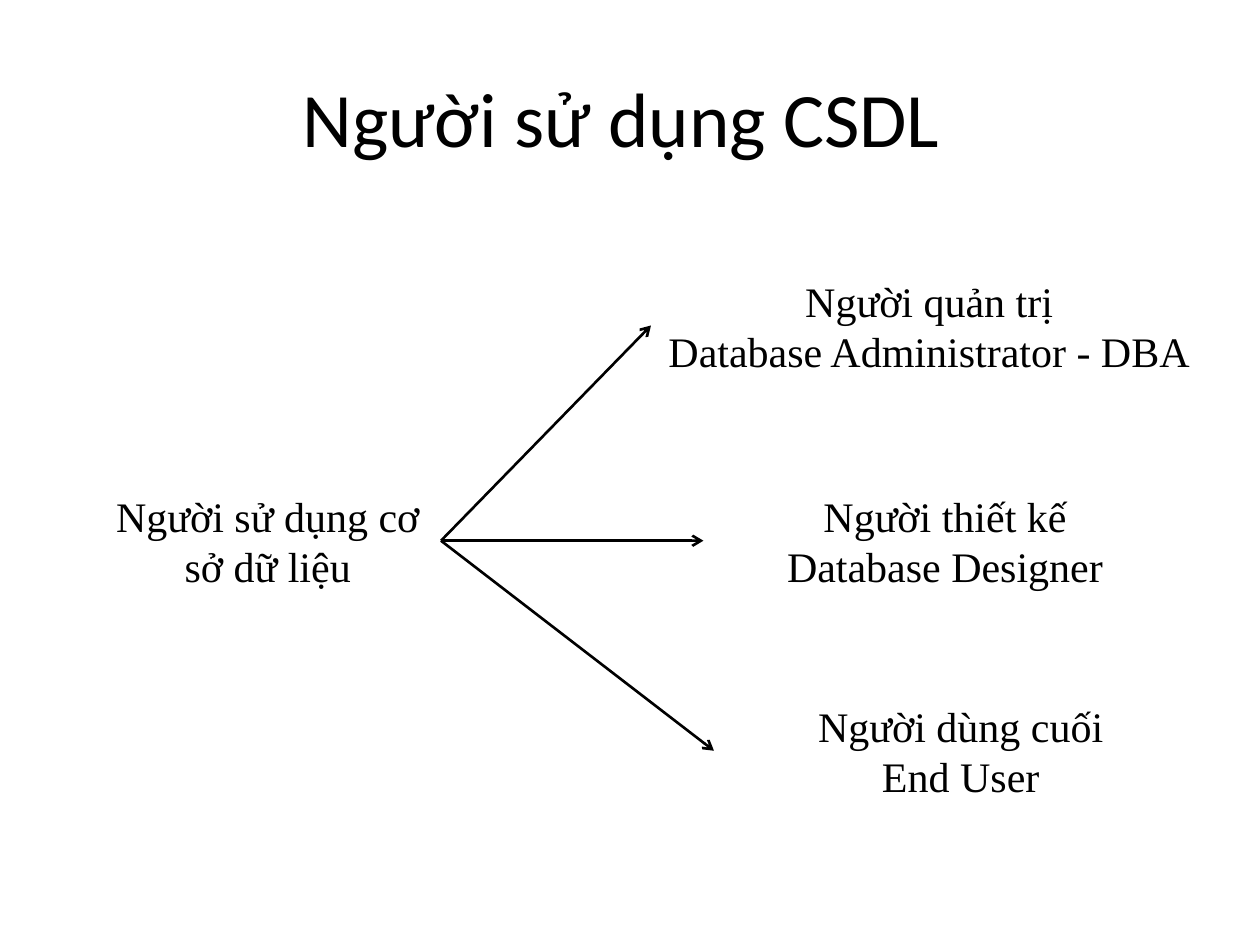
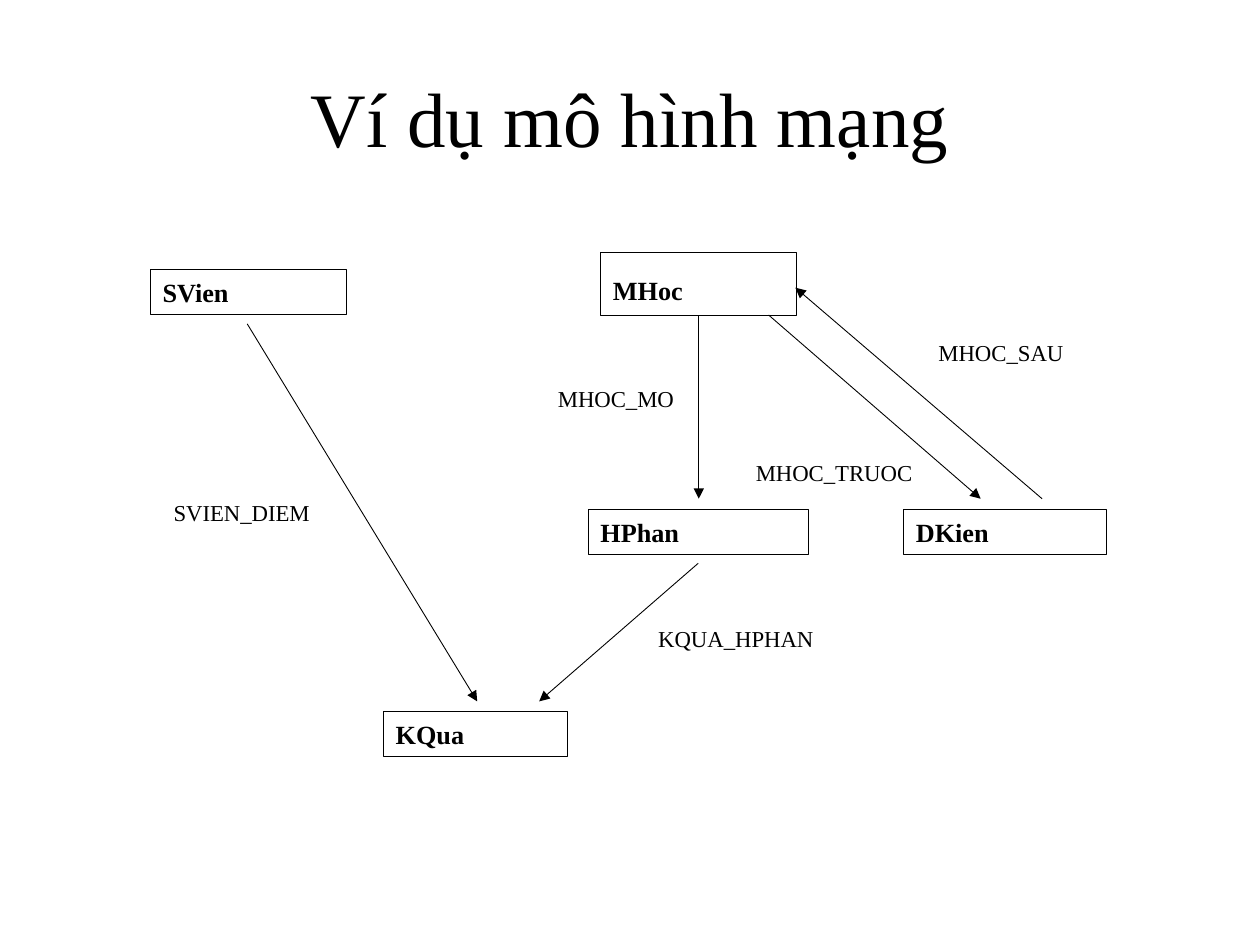
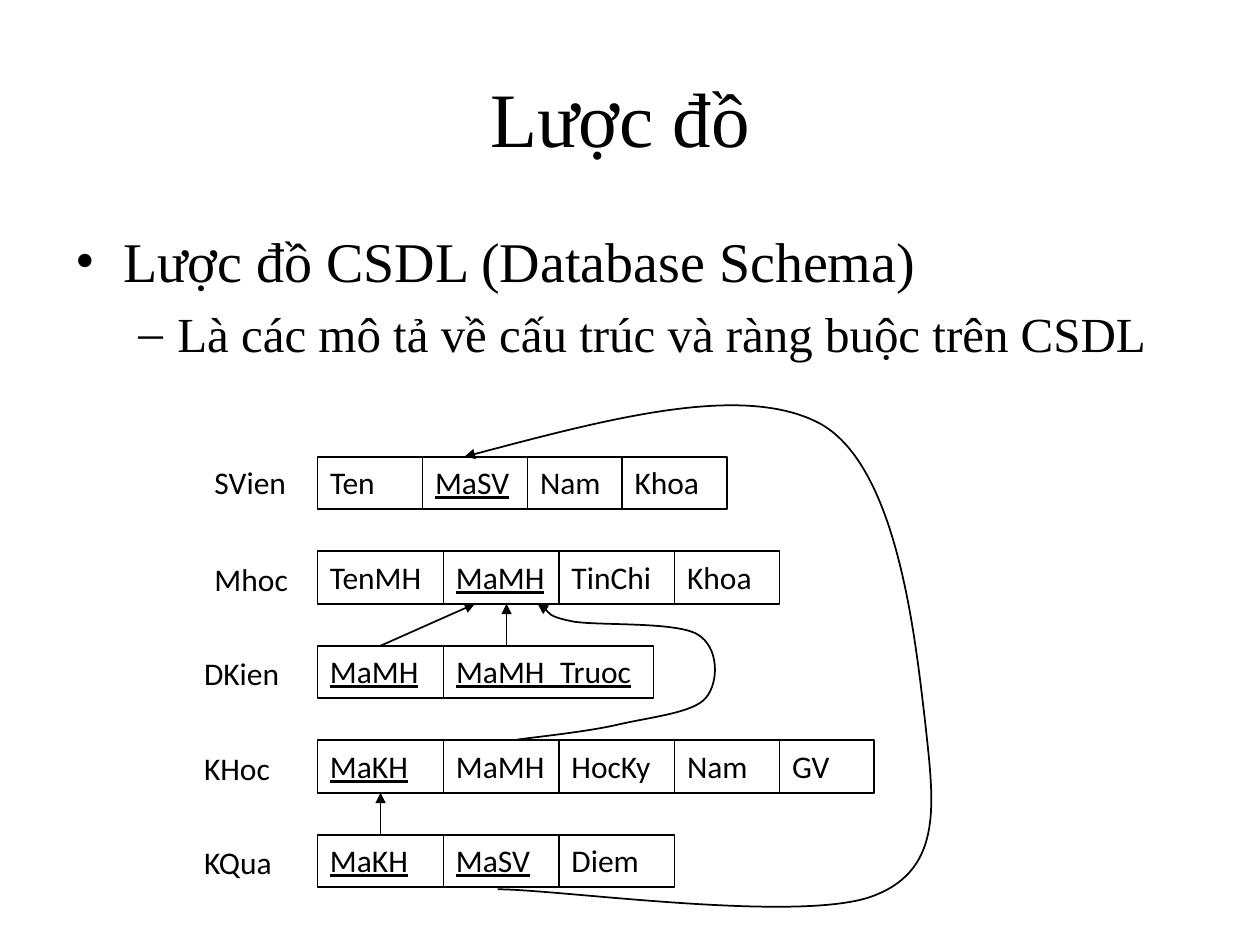
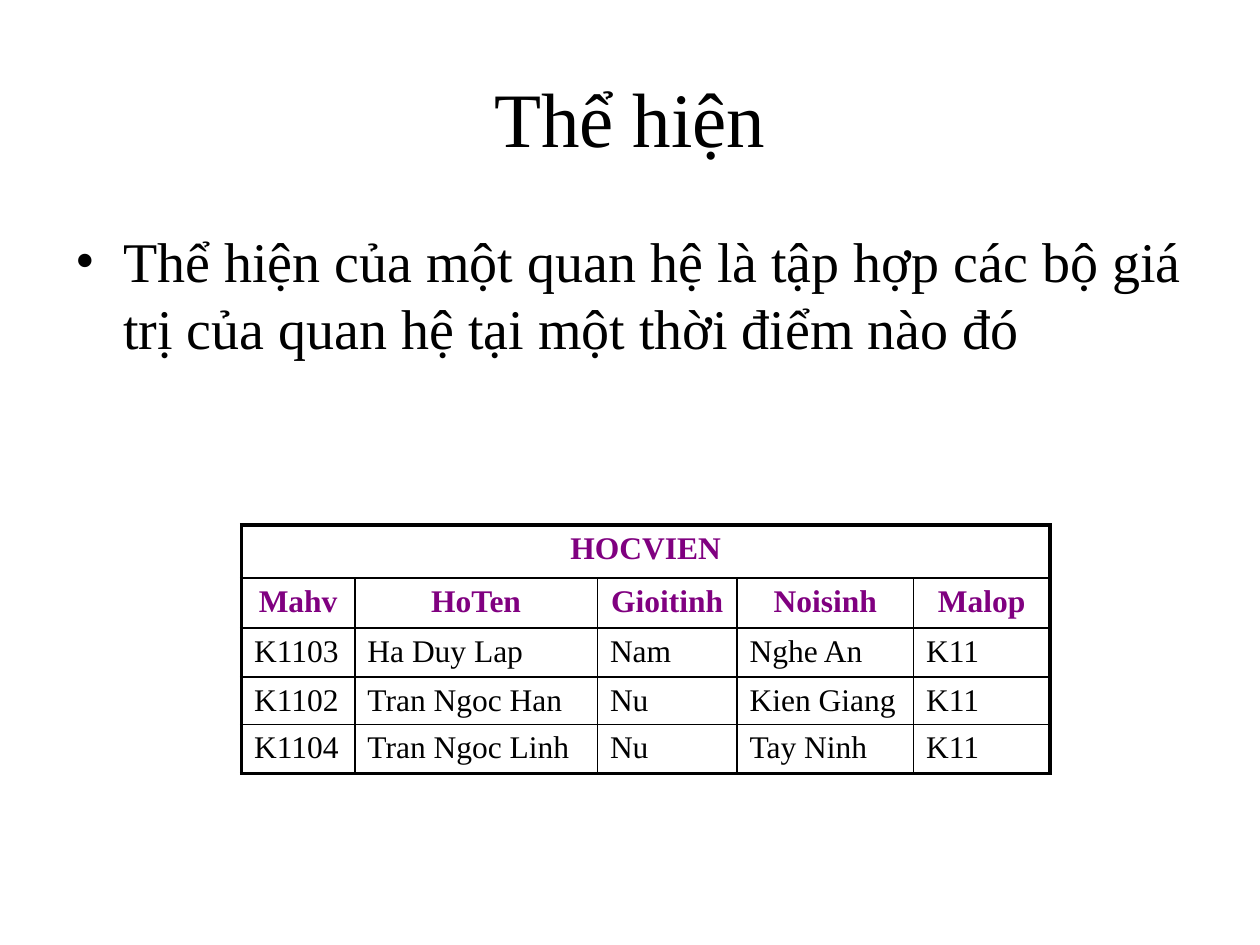
from dataclasses import dataclass
from itertools import accumulate

from lxml.etree import SubElement
from pptx import Presentation
from pptx.dml.color import RGBColor
from pptx.enum.shapes import MSO_CONNECTOR as Link, MSO_SHAPE as Preset
from pptx.enum.text import MSO_ANCHOR as Anchor, PP_ALIGN as Align
from pptx.oxml.ns import qn
from pptx.util import Inches, Pt

COLS, ROWS = 120, 90
TOP, LEFT, BOTTOM, RIGHT = range(4)


@dataclass(frozen=True)
class Theme:
    """Colours, fonts, type sizes and line widths of the deck."""

    ink: str = "000000"
    accent: str = "800080"
    serif: str = "Times New Roman"
    sans: str = "Calibri"
    title: int = 44
    bullets: tuple = (32, 28)
    node: int = 24
    body: int = 18
    record: int = 15
    label: int = 13
    hairline: float = 0.5
    thin: float = 1
    medium: float = 1.5
    frame: float = 2.25


THEME = Theme()


def write(frame, text, size=THEME.body, font=THEME.serif, color=THEME.ink, bold=False,
          underline=False, align=Align.LEFT, anchor=Anchor.TOP, wrap=True, bottom=0.05,
          bullets=()):
    """Fill a text frame, one paragraph per line of text."""
    frame.word_wrap = wrap
    frame.vertical_anchor = anchor
    frame.margin_bottom = Inches(bottom)
    for index, line in enumerate(text.split("\n")):
        paragraph = frame.paragraphs[0] if index == 0 else frame.add_paragraph()
        line_size = size
        if bullets:
            mark, margin, hanging, line_size = bullets[index]
            properties = paragraph._p.get_or_add_pPr()
            properties.set("marL", str(Inches(margin)))
            properties.set("indent", str(-Inches(hanging)))
            SubElement(properties, qn("a:buFont"), typeface=font)
            SubElement(properties, qn("a:buChar"), char=mark)
            if index:
                paragraph.space_before = Pt(line_size * 0.2)
        paragraph.alignment = align
        run = paragraph.add_run()
        run.text = line
        run.font.size, run.font.name = Pt(line_size), font
        run.font.bold, run.font.underline = bold, underline
        run.font.color.rgb = RGBColor.from_string(color)


class Deck:
    """A presentation on a fine grid, with its style and current slide."""

    def __init__(self, theme):
        """Start an empty deck."""
        self.theme = theme
        self.show = Presentation()
        self.show.slide_width, self.show.slide_height = Inches(10), Inches(7.5)
        self.slide = None

    def x(self, columns):
        """Convert columns to a length."""
        return round(self.show.slide_width * columns / COLS)

    def y(self, rows):
        """Convert rows to a length."""
        return round(self.show.slide_height * rows / ROWS)

    def area(self, left, top, width, height):
        """Convert a grid area to lengths."""
        return self.x(left), self.y(top), self.x(width), self.y(height)

    def new_slide(self, title, font=None):
        """Add a blank slide with the shared title."""
        self.slide = self.show.slides.add_slide(self.show.slide_layouts[6])
        self.text(title, 6, 3.6, 108, 15, size=self.theme.title, font=font or self.theme.serif,
                  align=Align.CENTER, anchor=Anchor.MIDDLE)

    def text(self, words, *area, **style):
        """Add a text box."""
        holder = self.slide.shapes.add_textbox(*self.area(*area))
        write(holder.text_frame, words, **style)
        return holder

    def bullets(self, words):
        """Add the body text with a bullet per level."""
        first, second = self.theme.bullets
        levels = (("•", 0.38, 0.38, first), ("–", 0.81, 0.31, second))
        self.text(words, 6, 21, 108, 59.4, bullets=levels)

    def outline(self, figure, width):
        """Give a figure a plain line."""
        figure.line.color.rgb = RGBColor.from_string(self.theme.ink)
        figure.line.width = Pt(width)

    def head(self, figure, kind):
        """Put an arrowhead at the end of a line."""
        SubElement(figure.element.spPr.find(qn("a:ln")), qn("a:tailEnd"), type=kind)

    def box(self, *area, words="", width=THEME.thin, **style):
        """Add an unfilled rectangle."""
        frame = self.slide.shapes.add_shape(Preset.RECTANGLE, *self.area(*area))
        frame.shadow.inherit = False
        frame.fill.background()
        self.outline(frame, width)
        if words:
            write(frame.text_frame, words, **style)
        return frame

    def line(self, begin, end, width=THEME.thin, head=None):
        """Join two ends, each a grid point or a figure with its side."""
        points = [(0, 0) if hasattr(spot[0], "shape_id") else spot for spot in (begin, end)]
        ends = [length for column, row in points for length in (self.x(column), self.y(row))]
        link = self.slide.shapes.add_connector(Link.STRAIGHT, *ends)
        if hasattr(begin[0], "shape_id"):
            link.begin_connect(*begin)
        if hasattr(end[0], "shape_id"):
            link.end_connect(*end)
        self.outline(link, width)
        if head:
            self.head(link, head)
        SubElement(link.element.spPr, qn("a:effectLst"))

    def curve(self, *points):
        """Draw an open arrow from a start and three points per cubic segment."""
        lengths = [(self.x(column), self.y(row)) for column, row in points]
        builder = self.slide.shapes.build_freeform(*lengths[0])
        builder.add_line_segments(lengths[1:], close=False)
        arc = builder.convert_to_shape()
        steps = list(arc.element.iter(qn("a:lnTo")))
        for bend, *others in zip(steps[::3], steps[1::3], steps[2::3]):
            bend.tag = qn("a:cubicBezTo")
            for step in others:
                bend.append(step[0])
                step.getparent().remove(step)
        arc.shadow.inherit = False
        arc.fill.background()
        self.outline(arc, self.theme.thin)
        self.head(arc, "triangle")

    def border(self, cell, widths):
        """Set the left, right, top and bottom borders of a cell."""
        properties = cell._tc.get_or_add_tcPr()
        for index, (side, width) in enumerate(zip(("lnL", "lnR", "lnT", "lnB"), widths)):
            edge = SubElement(properties, qn("a:" + side), w=str(Pt(width)))
            fill = SubElement(edge, qn("a:solidFill"))
            SubElement(fill, qn("a:srgbClr"), val=self.theme.ink)
            properties.remove(edge)
            properties.insert(index, edge)

    def table(self, left, top, columns, rows, records):
        """Add a framed table with a spanning caption and a header row."""
        grid = self.slide.shapes.add_table(
            len(rows), len(columns), *self.area(left, top, sum(columns), sum(rows))).table
        grid.first_row = grid.horz_banding = False
        for column, width in zip(grid.columns, columns):
            column.width = self.x(width)
        for row, height in zip(grid.rows, rows):
            row.height = self.y(height)
        grid.cell(0, 0).merge(grid.cell(0, len(columns) - 1))
        thin, frame = self.theme.thin, self.theme.frame
        last_row, last_column = len(rows) - 1, len(columns) - 1
        for r, record in enumerate(records):
            heading = r < 2
            for c in range(len(columns)):
                cell = grid.cell(r, c)
                cell.fill.background()
                cell.margin_bottom = Inches(0.02)
                outer = c == 0, c == last_column or r == 0, r == 0, r == last_row
                self.border(cell, [frame if edge else thin for edge in outer])
                if c < len(record):
                    write(cell.text_frame, record[c], bold=heading,
                          color=self.theme.accent if heading else self.theme.ink,
                          align=Align.CENTER if heading else Align.LEFT)


def users(deck):
    """Show the kinds of database users."""
    deck.new_slide("Người sử dụng CSDL ", deck.theme.sans)
    style = dict(size=deck.theme.node, align=Align.CENTER, anchor=Anchor.MIDDLE)
    everyone = deck.text("Người sử dụng cơ sở dữ liệu", 9, 46, 33, 11, **style)
    roles = (
        ("Người quản trị\nDatabase Administrator - DBA", 62, 25, 53, 12),
        ("Người thiết kế\nDatabase Designer", 67, 46, 46, 11),
        ("Người dùng cuối\nEnd User", 68, 66, 47, 11),
    )
    for role in roles:
        deck.line((everyone, RIGHT), (deck.text(*role, **style), LEFT),
                  width=deck.theme.medium, head="arrow")


def network_model(deck):
    """Show the example of a network model."""
    deck.new_slide("Ví dụ mô hình mạng")
    records = {
        "SVien": (14.3, 25.7, 18.7, 4.3),
        "MHoc": (57.2, 24, 18.7, 6.05),
        "HPhan": (56, 48.5, 21, 4.3),
        "KQua": (36.5, 67.8, 17.55, 4.3),
        "DKien": (86.05, 48.5, 19.35, 4.3),
    }
    raised = dict(anchor=Anchor.BOTTOM, bottom=0.08)
    centred = dict(anchor=Anchor.MIDDLE)
    nodes = {name: deck.box(*area, words=name, width=deck.theme.hairline, bold=True,
                            size=deck.theme.record, **(raised if name == "MHoc" else centred))
             for name, area in records.items()}
    links = (
        ((23.55, 30.85), (45.45, 66.8)),
        ((nodes["MHoc"], BOTTOM), (66.55, 47.5)),
        ((66.5, 53.65), (51.35, 66.8)),
        ((73.2, 30), (93.4, 47.5)),
        ((99.25, 47.5), (75.75, 27.4)),
    )
    for begin, end in links:
        deck.line(begin, end, width=deck.theme.hairline, head="triangle")
    labels = (
        ("SVIEN_DIEM", 15.35, 46.95, 15.6),
        ("MHOC_MO", 51.95, 36.05, 13.6),
        ("MHOC_SAU", 88.2, 31.7, 14.4),
        ("MHOC_TRUOC", 70.8, 43.1, 17.4),
        ("KQUA_HPHAN", 61.5, 58.9, 17.4),
    )
    for name, left, top, width in labels:
        deck.text(name, left, top, width, 3.8, size=deck.theme.label, wrap=False)


def schema(deck):
    """Show the database schema with its keys and references."""
    deck.new_slide("Lược đồ ")
    deck.bullets("Lược đồ CSDL (Database Schema)\nLà các mô tả về cấu trúc và ràng buộc trên CSDL")
    left, first_top, pitch, height, text_height = 30.25, 43.5, 9, 5, 4.8
    style = dict(font=deck.theme.sans, anchor=Anchor.MIDDLE)
    relations = (
        ("SVien", 19.25, {"Ten": 10, "MaSV": 10, "Nam": 9, "Khoa": 10}, {"MaSV"}),
        ("Mhoc", 19.25, {"TenMH": 12, "MaMH": 11, "TinChi": 11, "Khoa": 10}, {"MaMH"}),
        ("DKien", 18.25, {"MaMH": 12, "MaMH_Truoc": 20}, {"MaMH", "MaMH_Truoc"}),
        ("KHoc", 18.25, {"MaKH": 12, "MaMH": 11, "HocKy": 11, "Nam": 10, "GV": 9}, {"MaKH"}),
        ("KQua", 18.25, {"MaKH": 12, "MaSV": 11, "Diem": 11}, {"MaKH", "MaSV"}),
    )
    attributes = {}
    for index, (relation, label_left, fields, keys) in enumerate(relations):
        top = first_top + index * pitch
        label_top = top + 0.2 if index else top
        deck.box(left, top, sum(fields.values()), height)
        deck.text(relation, label_left, label_top, 29 - label_left, text_height, **style)
        starts = accumulate(fields.values(), initial=left)
        for (field, width), start in zip(fields.items(), starts):
            attributes[relation, field] = deck.text(
                field, start, top, width, text_height, underline=field in keys, **style)
            if start > left:
                deck.line((start, top), (start, top + height))
    references = (
        ((attributes["DKien", "MaMH"], TOP), (45.25, 57.5)),
        ((48.25, 61.5), (48.25, 57.5)),
        ((attributes["KQua", "MaKH"], TOP), (36.25, 75.5)),
    )
    for begin, end in references:
        deck.line(begin, end, head="triangle")
    deck.curve((49.2, 70.45),
               (50.9, 70.2), (55.9, 69.7), (58.9, 69),
               (61.9, 68.3), (66, 67.9), (67.2, 66.5),
               (68.5, 65), (68.5, 61.6), (66.4, 60.4),
               (64.3, 59.2), (57.1, 59.6), (54.6, 59.2),
               (52.1, 58.7), (52, 57.8), (51.2, 57.5))
    deck.curve((47.4, 84.7),
               (53.3, 84.7), (76.4, 88), (83.25, 85.3),
               (90, 82.7), (88.9, 76.2), (88.1, 68.6),
               (87.2, 61.2), (85.6, 44.6), (78.2, 40.4),
               (70.9, 36.4), (57.5, 40), (44.25, 43.5))


def instance(deck):
    """Show an instance of a relation."""
    deck.new_slide("Thể hiện")
    deck.bullets("Thể hiện của một quan hệ là tập hợp các bộ giá trị của quan hệ tại một thời điểm nào đó")
    students = (
        ("HOCVIEN",),
        ("Mahv", "HoTen", "Gioitinh", "Noisinh", "Malop"),
        ("K1103", "Ha Duy Lap", "Nam", "Nghe An", "K11"),
        ("K1102", "Tran Ngoc Han", "Nu", "Kien Giang", "K11"),
        ("K1104", "Tran Ngoc Linh", "Nu", "Tay Ninh", "K11"),
    )
    deck.table(23, 50, (10.8, 23.1, 13.3, 16.8, 13), (5.05, 4.75, 4.7, 4.5, 4.7), students)


def main():
    """Build and save the deck."""
    deck = Deck(THEME)
    for build in (users, network_model, schema, instance):
        build(deck)
    deck.show.save("out.pptx")


if __name__ == "__main__":
    main()
